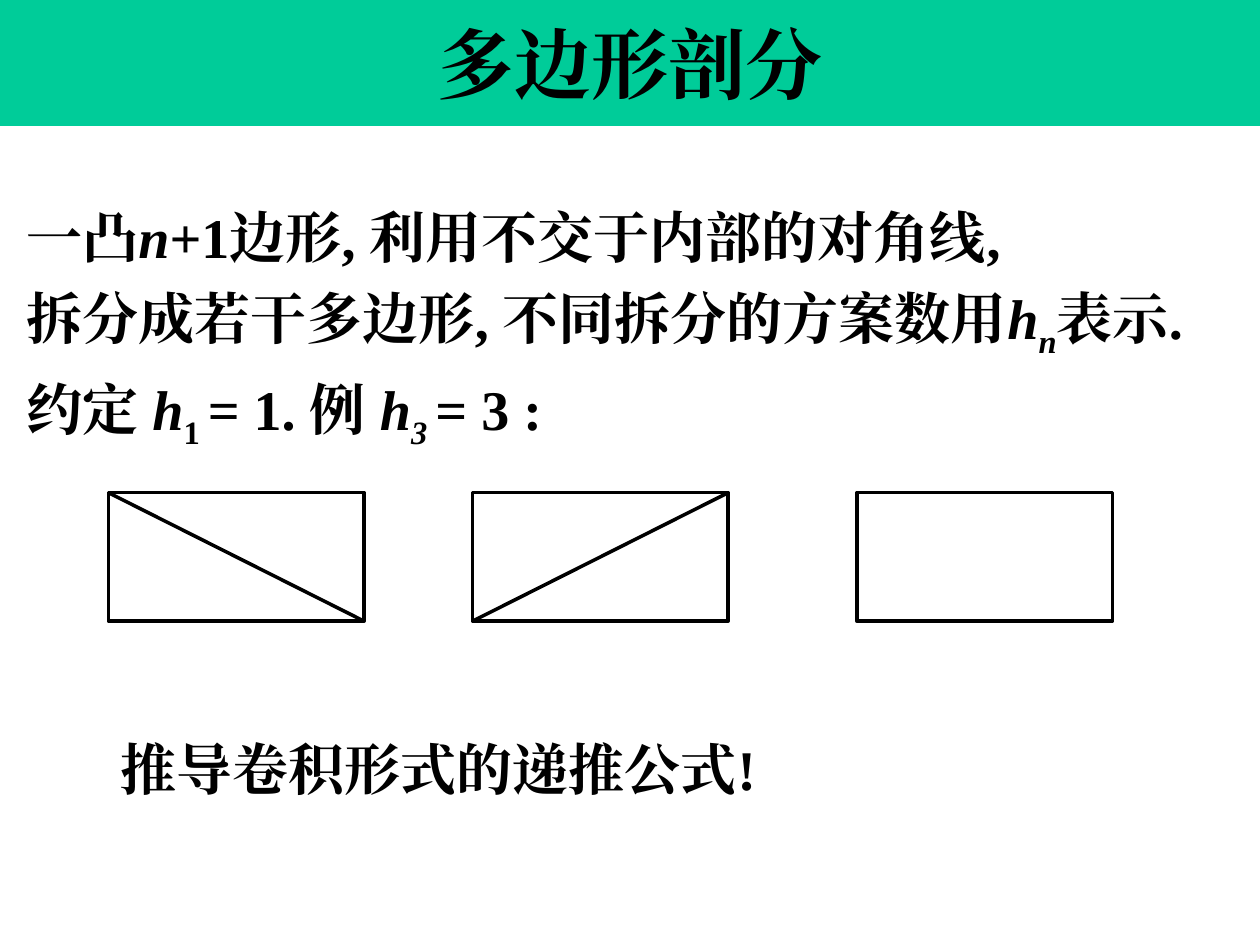
from lxml import etree
from pptx import Presentation
from pptx.dml.color import RGBColor
from pptx.enum.shapes import MSO_CONNECTOR, MSO_SHAPE
from pptx.enum.text import MSO_ANCHOR, PP_ALIGN
from pptx.oxml.ns import qn
from pptx.util import Inches, Pt


def color(hex_text):
    return RGBColor.from_string(hex_text)


def add_run(paragraph, text, size, italic=False, subscript=False):
    run = paragraph.add_run()
    run.text = text
    font = run.font
    font.name, font.size = "Times New Roman", Pt(size)
    font.bold, font.italic = True, italic
    font.color.rgb = color("000000")
    properties = run._r.get_or_add_rPr()
    properties.set("lang", "en-US")
    properties.set("altLang", "zh-CN")
    if subscript:
        properties.set("baseline", "-25000")
    east_asian = etree.SubElement(properties, qn("a:ea"))
    east_asian.set("typeface", "Times New Roman")


presentation = Presentation()
presentation.slide_width, presentation.slide_height = Inches(10), Inches(7.5)
slide = presentation.slides.add_slide(presentation.slide_layouts[6])
shapes = slide.shapes

# Title band
band = shapes.add_shape(MSO_SHAPE.RECTANGLE, 0, 0, Inches(10), Inches(1))
band.shadow.inherit = False
band.fill.solid()
band.fill.fore_color.rgb = color("00CC99")
band.line.fill.background()
band.text_frame.vertical_anchor = MSO_ANCHOR.MIDDLE
title = band.text_frame.paragraphs[0]
title.alignment = PP_ALIGN.CENTER
add_run(title, "多边形剖分", 44)

# Definition: text, italic, subscript
definition = [
    [("一凸",), ("n", True), ("+1边形, 利用不交于内部的对角线,",)],
    [("拆分成若干多边形, 不同拆分的方案数用",), ("h", True), ("n", True, True), ("表示.",)],
    [("约定 ",), ("h", True), ("1 ", False, True), ("= 1. 例 ",),
     ("h", True), ("3 ", True, True), ("= 3 :",)],
]
box = shapes.add_textbox(Inches(0.11), Inches(1.56), Inches(9.91), Inches(2.07))
frame = box.text_frame
frame.word_wrap = False
for index, runs in enumerate(definition):
    paragraph = frame.add_paragraph() if index else frame.paragraphs[0]
    paragraph.space_before = Pt(8)
    for text, *style in runs:
        add_run(paragraph, text, 32, *style)

# Three divisions of a rectangle: left edge, diagonal start and end
top, width, height = 3.91, 2.03, 1.02
divisions = [(0.86, (0, 1)), (3.75, (1, 0)), (6.8, None)]
for left, diagonal in divisions:
    rectangle = shapes.add_shape(MSO_SHAPE.RECTANGLE, Inches(left), Inches(top),
                                 Inches(width), Inches(height))
    rectangle.shadow.inherit = False
    rectangle.fill.solid()
    rectangle.fill.fore_color.rgb = color("FFFFFF")
    outlined = [rectangle]
    if diagonal:
        start, end = (Inches(left + side * width) for side in diagonal)
        connector = shapes.add_connector(MSO_CONNECTOR.STRAIGHT, start, Inches(top),
                                         end, Inches(top + height))
        etree.SubElement(connector._element.spPr, qn("a:effectLst"))
        outlined.append(connector)
    for shape in outlined:
        shape.line.color.rgb = color("000000")
        shape.line.width = Pt(2)

# Closing task
task = shapes.add_textbox(Inches(0.86), Inches(5.78), Inches(6.25), Inches(0.64))
task.text_frame.word_wrap = True
add_run(task.text_frame.paragraphs[0], "推导卷积形式的递推公式!", 32)

presentation.save("out.pptx")
